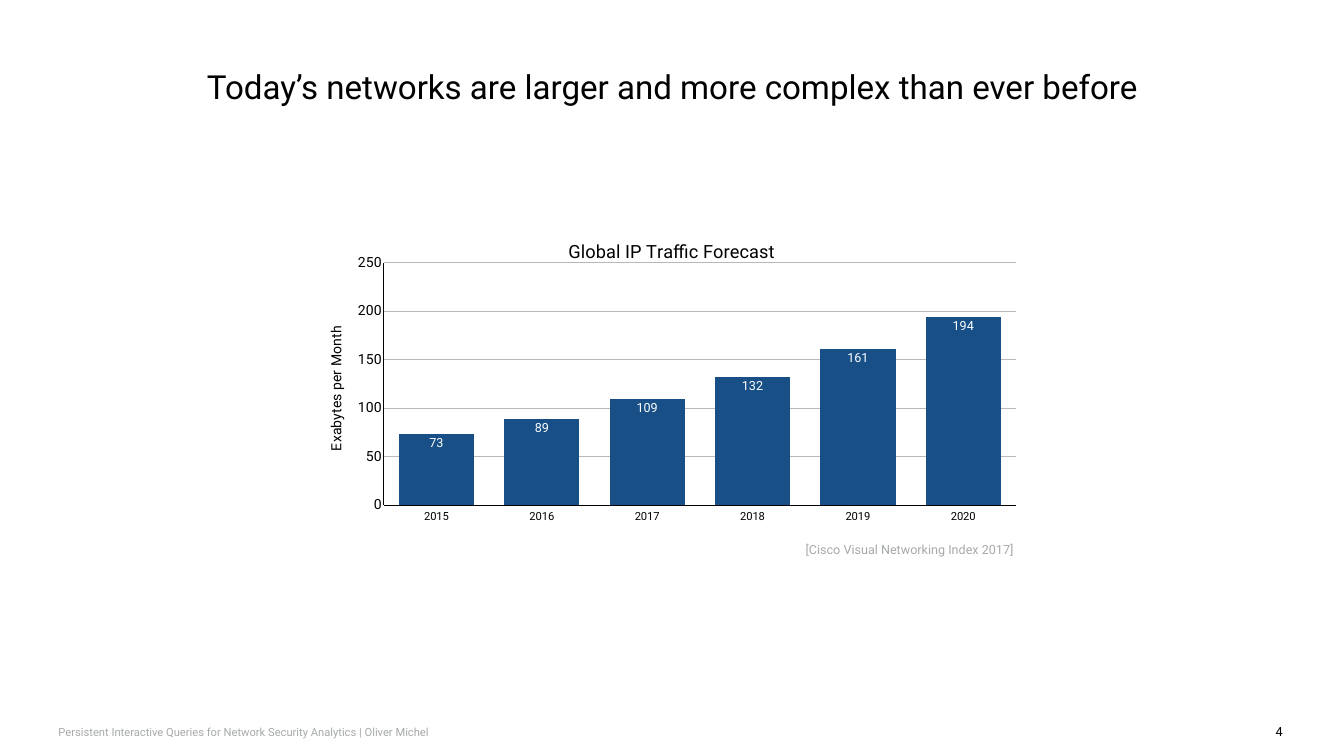
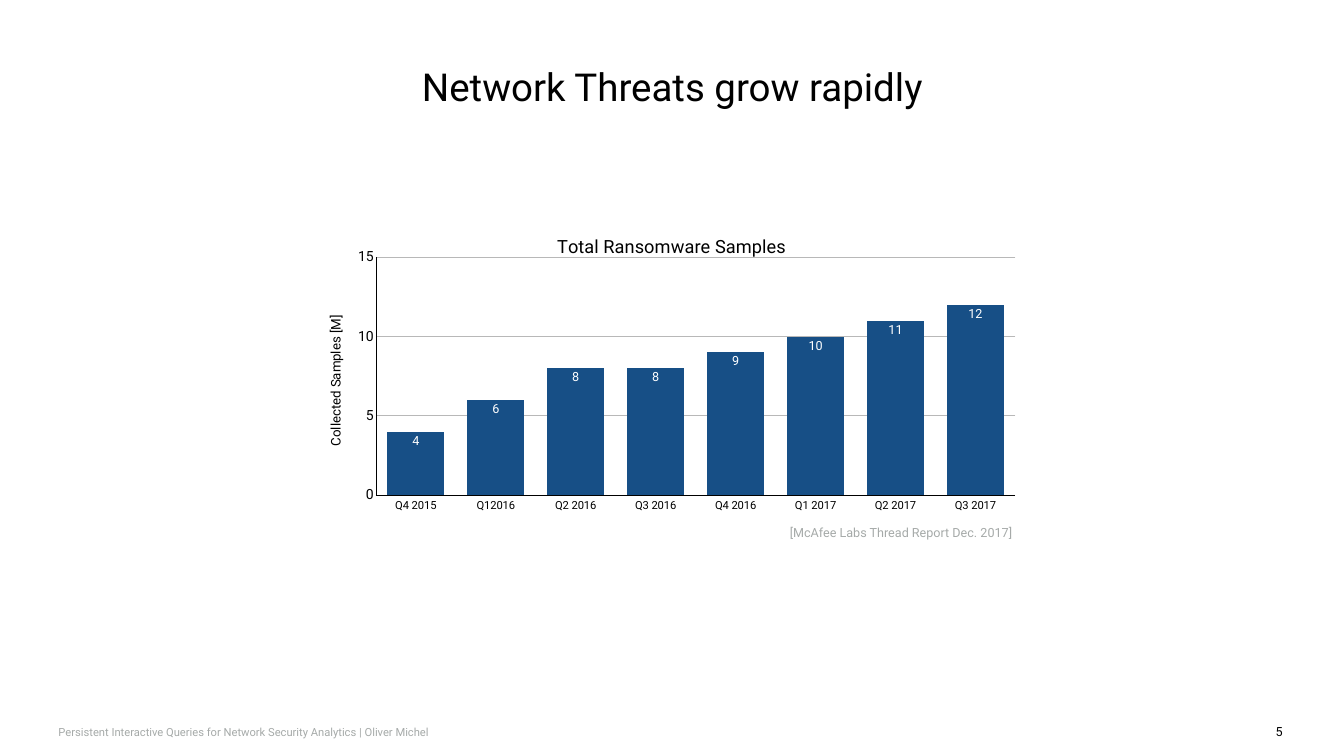
"""Build two slides on network growth, each with a column chart."""
from dataclasses import dataclass

from lxml.etree import SubElement
from pptx import Presentation
from pptx.chart.data import CategoryChartData
from pptx.dml.color import RGBColor
from pptx.enum.chart import XL_CHART_TYPE, XL_LABEL_POSITION, XL_TICK_LABEL_POSITION, XL_TICK_MARK
from pptx.enum.text import MSO_ANCHOR, PP_ALIGN
from pptx.oxml.ns import qn
from pptx.util import Pt

EMU_PER_PX = 9144


@dataclass(frozen=True)
class Theme:
    font: str = "Roboto"
    ink: str = "000000"
    muted: str = "A6AAA9"
    bar: str = "174F86"
    bar_label: str = "FFFFFF"
    grid: str = "B8B8B8"
    title_size: float = 55
    chart_title_size: float = 26
    value_size: float = 20
    note_size: float = 18
    small_size: float = 16


THEME = Theme()
FOOTER = "Persistent Interactive Queries for Network Security Analytics | Oliver Michel"


def px(length):
    return round(length * EMU_PER_PX)


def style_font(font, size, color=THEME.ink):
    font.name = THEME.font
    font.size = Pt(size)
    font.bold = False
    font.color.rgb = RGBColor.from_string(color)


def style_line(line, color=THEME.ink):
    line.color.rgb = RGBColor.from_string(color)
    line.width = Pt(1)


def add_text(page, text, frame, size=THEME.note_size, color=THEME.ink,
             align=PP_ALIGN.CENTER, anchor=MSO_ANCHOR.MIDDLE, wrap=True):
    box = page.shapes.add_textbox(*map(px, frame))
    body = box.text_frame
    body.word_wrap = wrap
    body.vertical_anchor = anchor
    body.margin_left = body.margin_right = body.margin_top = body.margin_bottom = px(6)
    para = body.paragraphs[0]
    para.alignment = align
    span = para.add_run()
    span.text = text
    style_font(span.font, size, color)


def add_page(deck, title, number, title_size=THEME.title_size):
    page = deck.slides.add_slide(deck.slide_layouts[6])
    add_text(page, title, (390, 112, 1888, 119), size=title_size)
    add_text(page, str(number), (2525, 1431, 27, 42), anchor=MSO_ANCHOR.TOP, wrap=False)
    add_text(page, FOOTER, (110, 1433, 1117, 38), size=THEME.small_size,
             color=THEME.muted, align=PP_ALIGN.LEFT)
    return page


def set_title(owner, text, size):
    body = owner.text_frame
    body.text = text
    style_font(body.paragraphs[0].runs[0].font, size)
    return body


def set_plot_area(chart, fractions):
    area = chart.element.find(".//" + qn("c:plotArea"))
    layout = area.find(qn("c:layout"))
    if layout is None:
        layout = SubElement(area, qn("c:layout"))
        area.insert(0, layout)
    manual = SubElement(layout, qn("c:manualLayout"))
    settings = [("layoutTarget", "inner"), ("xMode", "edge"), ("yMode", "edge")]
    settings += zip("xywh", fractions)
    for name, value in settings:
        SubElement(manual, qn("c:" + name)).set("val", str(value))


def style_axis(axis, size):
    axis.major_tick_mark = axis.minor_tick_mark = XL_TICK_MARK.NONE
    style_font(axis.tick_labels.font, size)
    style_line(axis.format.line)


def add_column_chart(page, frame, title, samples, axis_title, axis_title_size,
                     maximum, step, plot_area):
    data = CategoryChartData()
    data.categories = list(samples)
    data.add_series("Series 1", list(samples.values()))
    chart = page.shapes.add_chart(XL_CHART_TYPE.COLUMN_CLUSTERED, *map(px, frame), data).chart
    style_font(chart.font, 10)
    chart.has_legend = False
    chart.has_title = True
    set_title(chart.chart_title, title, THEME.chart_title_size)
    set_plot_area(chart, plot_area)

    style_axis(chart.category_axis, THEME.small_size)
    chart.category_axis.tick_label_position = XL_TICK_LABEL_POSITION.LOW
    values = chart.value_axis
    style_axis(values, THEME.value_size)
    values.minimum_scale = 0
    values.maximum_scale = maximum
    values.major_unit = step
    values.has_major_gridlines = True
    style_line(values.major_gridlines.format.line, THEME.grid)
    values.has_title = True
    body = set_title(values.axis_title, axis_title, axis_title_size)
    body._txBody.bodyPr.set("rot", "-5400000")

    plot = chart.plots[0]
    plot.gap_width = 40
    plot.overlap = -10
    plot.vary_by_categories = False
    fill = plot.series[0].format.fill
    fill.solid()
    fill.fore_color.rgb = RGBColor.from_string(THEME.bar)
    plot.has_data_labels = True
    labels = plot.data_labels
    labels.show_value = True
    labels.position = XL_LABEL_POSITION.INSIDE_END
    labels.number_format = "#,##0"
    labels.number_format_is_linked = False
    style_font(labels.font, THEME.note_size, THEME.bar_label)


def add_traffic_page(deck):
    page = add_page(deck, "Today’s networks are larger and more complex than ever before",
                    4, title_size=47.3)
    traffic = dict(zip(map(str, range(2015, 2021)), (73, 89, 109, 132, 161, 194)))
    add_column_chart(page, (643, 452, 1380, 593), "Global IP Traffic Forecast", traffic,
                     "Exabytes per Month", 20, maximum=250, step=50,
                     plot_area=(0.086, 0.117, 0.909, 0.811))
    add_text(page, "[Cisco Visual Networking Index 2017]", (1588, 1054, 434, 72),
             color=THEME.muted)


def add_threats_page(deck):
    page = add_page(deck, "Network Threats grow rapidly", 5)
    ransomware = {"Q4 2015": 4, "Q12016": 6, "Q2 2016": 8, "Q3 2016": 8,
                  "Q4 2016": 9, "Q1 2017": 10, "Q2 2017": 11, "Q3 2017": 12}
    add_column_chart(page, (644, 441, 1378, 584), "Total Ransomware Samples", ransomware,
                     "Collected Samples [M]", 19, maximum=15, step=5,
                     plot_area=(0.074, 0.119, 0.921, 0.808))
    add_text(page, "[McAfee Labs Thread Report Dec. 2017]", (1553, 1035, 470, 42),
             color=THEME.muted)


def main():
    deck = Presentation()
    deck.slide_width = px(2667)
    deck.slide_height = px(1500)
    add_traffic_page(deck)
    add_threats_page(deck)
    deck.save("out.pptx")


if __name__ == "__main__":
    main()
